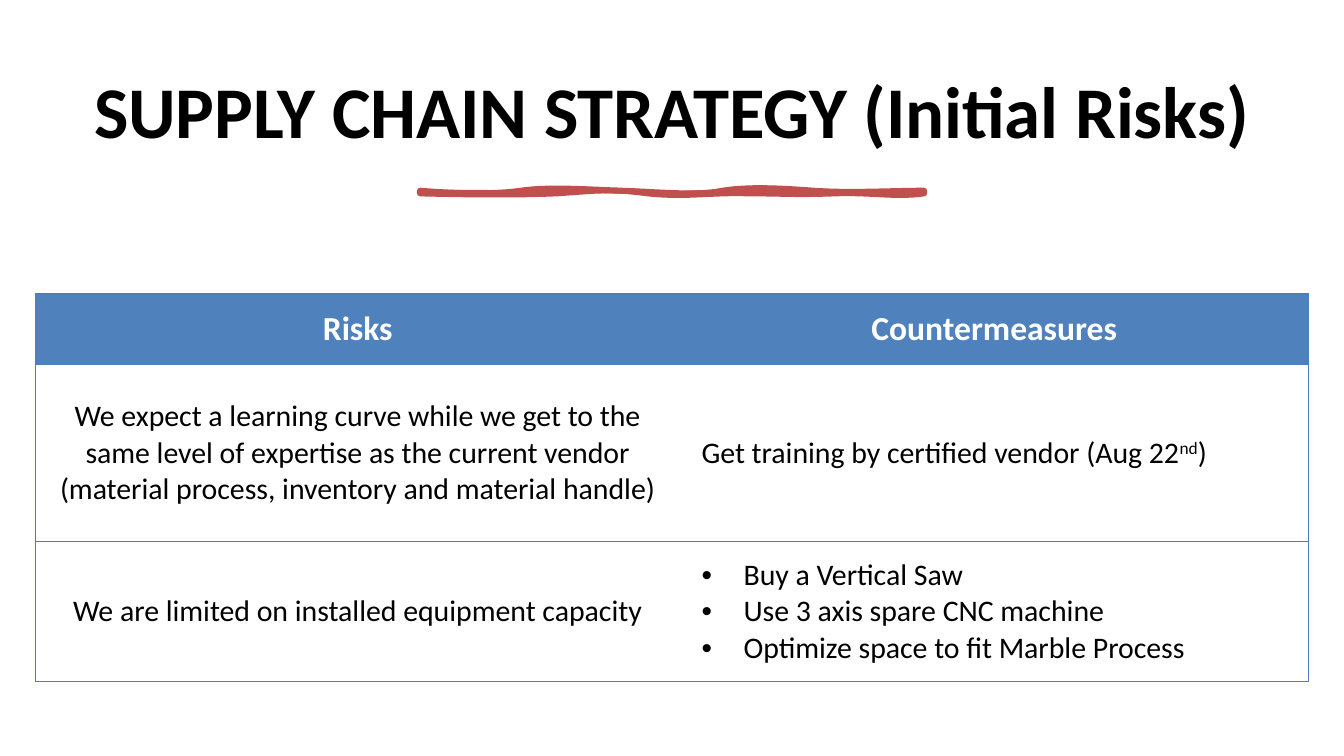
from dataclasses import dataclass

from lxml import etree
from pptx import Presentation
from pptx import util as u
from pptx.dml.color import RGBColor
from pptx.enum import text
from pptx.oxml import ns

CENTER, LEFT = text.PP_ALIGN.CENTER, text.PP_ALIGN.LEFT
NO_STYLE_TABLE = "{2D5ABB26-0587-4C30-8999-92F81FD0307C}"


@dataclass(frozen=True)
class Theme:
    font: str = "Calibri"
    ink: str = "000000"
    paper: str = "FFFFFF"
    header: str = "4F81BD"
    border: str = "4B7EBC"
    accent: str = "C0504D"
    title_size: float = 39
    header_size: float = 18
    body_size: float = 16


def add_xml(parent, tag, **attributes):
    return etree.SubElement(parent, ns.qn(tag), attributes)


def write_text(frame, content, *, font, size, color, bold=False, align=LEFT,
               spacing=None, bullet=False):
    """Write one paragraph per line; text between carets is superscript."""
    for index, line in enumerate(content.split("\n")):
        paragraph = frame.paragraphs[0] if index == 0 else frame.add_paragraph()
        if bullet:
            properties = paragraph._p.get_or_add_pPr()
            properties.set("marL", str(u.Pt(22.5)))
            properties.set("indent", str(-u.Pt(22.5)))
            add_xml(properties, "a:buFont", typeface="Arial")
            add_xml(properties, "a:buChar", char="•")
        paragraph.alignment = align
        if spacing:
            paragraph.line_spacing = spacing
        for part, piece in enumerate(line.split("^")):
            run = paragraph.add_run()
            run.text = piece
            run.font.name, run.font.size, run.font.bold = font, u.Pt(size), bold
            run.font.color.rgb = RGBColor.from_string(color)
            if part % 2:
                run._r.get_or_add_rPr().set("baseline", "30000")


def add_curve_path(path_list, width, height, curves, **flags):
    """Add a closed path of cubic curves, each given as three points."""
    path = add_xml(path_list, "a:path", w=str(u.Pt(width)), h=str(u.Pt(height)), **flags)
    add_xml(add_xml(path, "a:moveTo"), "a:pt", x="0", y="0")
    for curve in curves:
        segment = add_xml(path, "a:cubicBezTo")
        for x, y in zip(curve[::2], curve[1::2]):
            add_xml(segment, "a:pt", x=str(u.Pt(x)), y=str(u.Pt(y)))
    add_xml(path, "a:close")


class SlideBuilder:
    def __init__(self, slide, theme):
        self.slide, self.theme = slide, theme

    def title(self, content, left, top, width, height):
        frame = self.slide.shapes.add_textbox(*map(u.Pt, (left, top, width, height))).text_frame
        frame.word_wrap = True
        frame.vertical_anchor = text.MSO_ANCHOR.MIDDLE
        write_text(frame, content, font=self.theme.font, size=self.theme.title_size,
                   color=self.theme.ink, bold=True, align=CENTER, spacing=0.9)

    def brush_stroke(self, left, top, width, height, outline, body, line_width):
        """Draw one freeform that holds a line-only path and a fill-only path."""
        right, bottom = left + width, top + height
        builder = self.slide.shapes.build_freeform(u.Pt(left), u.Pt(top))
        builder.add_line_segments([(u.Pt(x), u.Pt(y)) for x, y in
                                   ((right, top), (right, bottom), (left, bottom))])
        shape = builder.convert_to_shape()
        path_list = shape._element.spPr.find(ns.qn("a:custGeom")).find(ns.qn("a:pathLst"))
        path_list.remove(path_list[0])
        add_curve_path(path_list, width, height, outline, fill="none")
        add_curve_path(path_list, width, height, body, stroke="0")
        shape.shadow.inherit = False
        shape.line.width = u.Pt(line_width)
        for paint in (shape.fill, shape.line.fill):
            paint.solid()
            paint.fore_color.rgb = RGBColor.from_string(self.theme.accent)
        add_xml(shape.line._get_or_add_ln(), "a:round")
        shape.line._get_or_add_ln().set("cap", "rnd")

    def table(self, rows, left, top, widths, heights):
        frame = self.slide.shapes.add_table(
            len(rows), len(widths),
            *map(u.Pt, (left, top, sum(widths), sum(heights))))
        table = frame.table
        table.first_row = table.horz_banding = False
        table._tbl.tblPr.find(ns.qn("a:tableStyleId")).text = NO_STYLE_TABLE
        for column, width in zip(table.columns, widths):
            column.width = u.Pt(width)
        for row, height in zip(table.rows, heights):
            row.height = u.Pt(height)
        for r, row in enumerate(rows):
            for c, content in enumerate(row):
                sides = ["L"] * (c == 0) + ["R"] * (c == len(row) - 1) + ["T", "B"]
                self.cell(table.cell(r, c), content, sides, header=r == 0,
                          centered=r == 0 or c == 0)

    def cell(self, cell, content, sides, header, centered):
        theme = self.theme
        cell.margin_left = cell.margin_right = u.Pt(11.5)
        cell.margin_top = cell.margin_bottom = u.Pt(5.8)
        cell.vertical_anchor = text.MSO_ANCHOR.MIDDLE
        for side in sides:
            line = add_xml(cell._tc.get_or_add_tcPr(), f"a:ln{side}", w=str(u.Pt(0.75)))
            add_xml(add_xml(line, "a:solidFill"), "a:srgbClr", val=theme.border)
        if header:
            cell.fill.solid()
            cell.fill.fore_color.rgb = RGBColor.from_string(theme.header)
        else:
            cell.fill.background()
        write_text(cell.text_frame, content, font=theme.font, bold=header,
                   size=theme.header_size if header else theme.body_size,
                   color=theme.paper if header else theme.ink,
                   align=CENTER if centered else LEFT, bullet="\n" in content)


STROKE_OUTLINE = [
    (17, 1.4, 39, 2.2, 54, 0), (69, -2.2, 89, -0.7, 108, 0),
    (128, 0.7, 148, 2.9, 162, 0), (176, -2.2, 192, -1.4, 211, 0),
    (230, 1.4, 253, 0, 270, 0), (270, 0.7, 270, 0.7, 270, 1.4),
    (254, 3.6, 243, 0.7, 222, 1.4), (200, 2.2, 196, 1.4, 176, 1.4),
    (156, 0.7, 143, 3.6, 122, 1.4), (101, -1.4, 94, 0, 73, 1.4),
    (53, 2.2, 32, 2.2, 0, 1.4), (0, 0.7, 0, 0.7, 0, 0),
]
STROKE_BODY = [
    (14, -0.7, 35, -0.7, 49, 0), (63, 1.4, 85, 0.7, 95, 0),
    (105, -0.7, 120, 1.4, 143, 0), (166, -1.4, 175, 2.2, 197, 0),
    (220, -2.2, 238, 2.9, 270, 0), (270, 0.7, 270, 0.7, 270, 1.4),
    (245, 0, 228, 1.4, 216, 1.4), (204, 0.7, 186, 0.7, 157, 1.4),
    (127, 2.2, 125, 0, 111, 1.4), (97, 2.2, 70, -1.4, 52, 1.4),
    (33, 3.6, 11, -1.4, 0, 1.4), (0, 0.7, 0, 0.7, 0, 0),
]
RISK_ROWS = [
    ("Risks", "Countermeasures"),
    ("We expect a learning curve while we get to the same level of expertise as the "
     "current vendor (material process, inventory and material handle)",
     "Get training by certified vendor (Aug 22^nd^)"),
    ("We are limited on installed equipment capacity",
     "Buy a Vertical Saw\nUse 3 axis spare CNC machine\n"
     "Optimize space to fit Marble Process"),
]


def main():
    presentation = Presentation()
    presentation.slide_width, presentation.slide_height = u.Pt(720), u.Pt(405)
    slide = presentation.slides.add_slide(presentation.slide_layouts[6])
    builder = SlideBuilder(slide, Theme())
    builder.title("SUPPLY CHAIN STRATEGY (Initial Risks)", 37.7, 24.8, 644.5, 73.5)
    builder.brush_stroke(225, 102.2, 270, 1.4, STROKE_OUTLINE, STROKE_BODY, line_width=3.25)
    builder.table(RISK_ROWS, 19, 157.5, widths=(345.4, 336.6), heights=(38, 94.7, 75.1))
    presentation.save("out.pptx")


if __name__ == "__main__":
    main()
